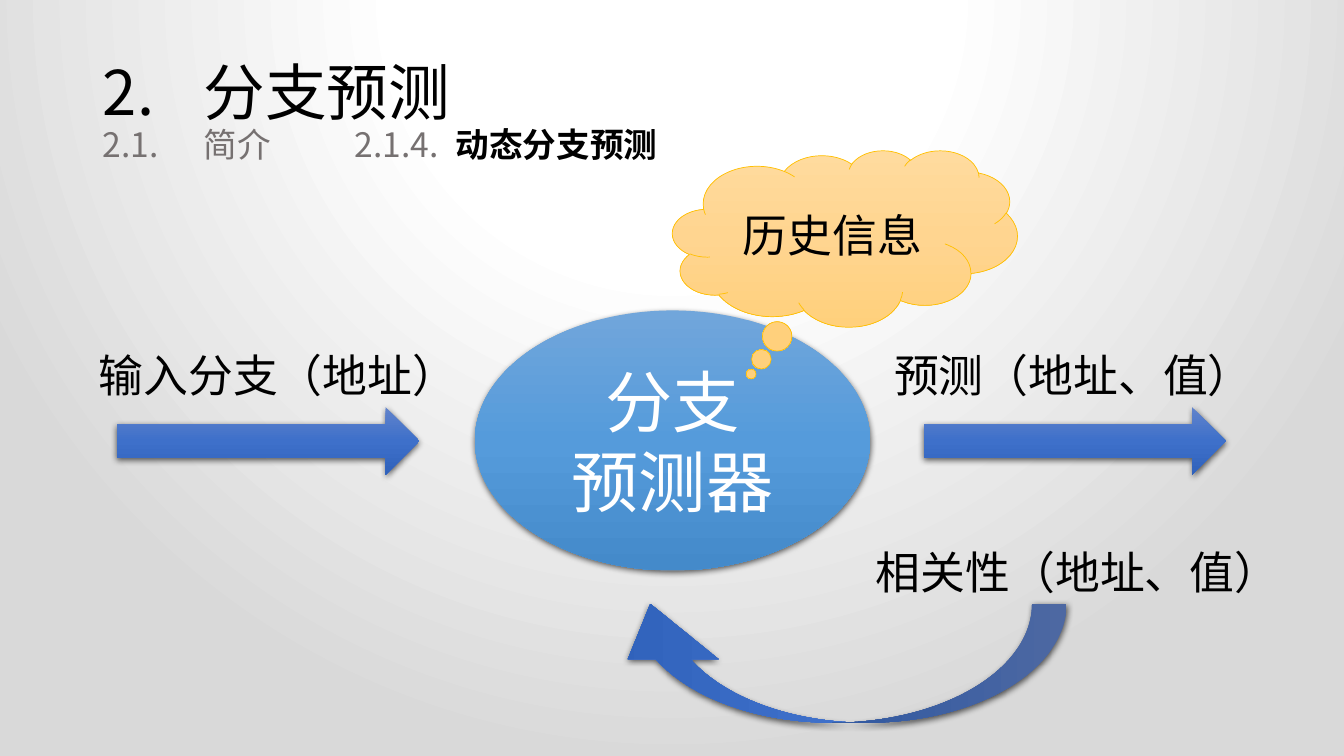
from lxml.etree import SubElement
from pptx import Presentation
from pptx.dml.color import RGBColor
from pptx.enum.shapes import MSO_SHAPE
from pptx.enum.text import MSO_ANCHOR, MSO_AUTO_SIZE, PP_ALIGN
from pptx.oxml.ns import qn
from pptx.util import Inches, Pt

FONT = "Noto Sans CJK SC"
BLACK, WHITE, GRAY = "000000", "FFFFFF", "767171"
BACKDROP = [(0, "FFFFFF"), (35, "FFFFFF"), (100, "D9D9D9")]
ARROW_BLUE = [(0, "6183CB"), (50, "3E70CA"), (100, "3062BB")]
PREDICTOR_BLUE = [(0, "71A6DB"), (50, "559BDB"), (100, "448ACA")]
CLOUD_ORANGE = [(0, "FFDB9E"), (50, "FFD590"), (100, "FFD07C")]


def color(hex_string):
    return RGBColor.from_string(hex_string)


def add_node(parent, tag, **attributes):
    return SubElement(parent, qn(tag), {key: str(value) for key, value in attributes.items()})


def place(shape, box):
    for name, length in zip(("left", "top", "width", "height"), box):
        setattr(shape, name, Inches(length))


class SlideBuilder:
    def __init__(self, presentation):
        self.slide = presentation.slides.add_slide(presentation.slide_layouts[5])

    def gradient(self, fill, owner, stops, radial=False):
        """Fill with several stops, downwards or as circles around a point above the slide."""
        fill.gradient()
        gradient = owner.find(".//" + qn("a:gradFill"))
        for child in list(gradient):
            gradient.remove(child)
        stop_list = add_node(gradient, "a:gsLst")
        for position, hex_string in stops:
            stop = add_node(stop_list, "a:gs", pos=position * 1000)
            add_node(stop, "a:srgbClr", val=hex_string)
        if radial:
            circle = add_node(gradient, "a:path", path="circle")
            add_node(circle, "a:fillToRect", l=50000, t=-80000, r=50000, b=180000)
        else:
            add_node(gradient, "a:lin", ang=5400000, scaled=0)

    def background(self, stops):
        self.gradient(self.slide.background.fill, self.slide.element, stops, radial=True)

    def drop_shadow(self, shape):
        effects = shape.element.spPr.find(qn("a:effectLst"))
        shadow = add_node(effects, "a:outerShdw", blurRad=Pt(4.5), dist=Pt(1.5),
                          dir=5400000, algn="ctr", rotWithShape=0)
        shadow_color = add_node(shadow, "a:srgbClr", val=BLACK)
        add_node(shadow_color, "a:alpha", val=63000)

    def run(self, paragraph, text, size, hex_string=BLACK, bold=False):
        for index, line in enumerate(text.split("\n")):
            if index:
                paragraph.add_line_break()
            run = paragraph.add_run()
            run.text = line
            for name, value in {"name": FONT, "size": Pt(size), "bold": bold}.items():
                setattr(run.font, name, value)
            run.font.color.rgb = color(hex_string)
            add_node(run.font._element, "a:ea", typeface=FONT)

    def title(self, box, lines):
        title = self.slide.shapes.title
        place(title, box)
        frame = title.text_frame
        frame_format = {"word_wrap": True, "auto_size": MSO_AUTO_SIZE.NONE,
                        "vertical_anchor": MSO_ANCHOR.MIDDLE}
        for name, value in frame_format.items():
            setattr(frame, name, value)
        paragraph = frame.paragraphs[0]
        paragraph.alignment = PP_ALIGN.LEFT
        paragraph.line_spacing = 0.9
        for index, line in enumerate(lines):
            if index:
                paragraph.add_line_break()
            for run in line:
                self.run(paragraph, *run)

    def label(self, box, text):
        label = self.slide.shapes.add_textbox(*map(Inches, box))
        label.text_frame.word_wrap = False
        label.text_frame.auto_size = MSO_AUTO_SIZE.SHAPE_TO_FIT_TEXT
        self.run(label.text_frame.paragraphs[0], text, 32)

    def shape(self, kind, box, stops, adjustments=(), rotation=0, outline=None):
        """Add a gradient shape; one without an outline casts a shadow."""
        shape = self.slide.shapes.add_shape(kind, *map(Inches, box))
        shape.rotation = rotation
        for index, value in enumerate(adjustments):
            shape.adjustments[index] = value
        self.gradient(shape.fill, shape.element.spPr, stops)
        shape.shadow.inherit = False
        if outline:
            shape.line.color.rgb = color(outline)
            shape.line.width = Pt(0.5)
        else:
            shape.line.fill.background()
            self.drop_shadow(shape)
        return shape

    def caption(self, shape, text, size, hex_string):
        shape.text_frame.vertical_anchor = MSO_ANCHOR.MIDDLE
        paragraph = shape.text_frame.paragraphs[0]
        paragraph.alignment = PP_ALIGN.CENTER
        self.run(paragraph, text, size, hex_string)


def main():
    presentation = Presentation()
    presentation.slide_width = Inches(13.33)
    presentation.slide_height = Inches(7.5)
    builder = SlideBuilder(presentation)
    builder.background(BACKDROP)
    builder.title((0.92, 0.4, 11.5, 1.45), [
        [("2.\t分支预测", 44)],
        [("2.1.\t简介\t\t2.1.4.\t", 24, GRAY), ("动态分支预测", 24, BLACK, True)],
    ])

    predictor = builder.shape(MSO_SHAPE.OVAL, (4.71, 3.08, 3.92, 2.58), PREDICTOR_BLUE)
    builder.caption(predictor, "分支\n预测器", 48, WHITE)

    for arrow_left, label_left, text in [(1.16, 0.88, "输入分支（地址）"),
                                         (9.16, 8.77, "预测（地址、值）")]:
        builder.shape(MSO_SHAPE.RIGHT_ARROW, (arrow_left, 4.04, 3, 0.67), ARROW_BLUE)
        builder.label((label_left, 3.4, 3.79, 0.64), text)

    builder.label((8.59, 5.35, 4.24, 0.64), "相关性（地址、值）")
    builder.shape(MSO_SHAPE.CURVED_LEFT_ARROW, (7.7, 4.29, 1.18, 4.58), ARROW_BLUE,
                  adjustments=(0.292, 0.762, 0.465), rotation=90)

    history = builder.shape(MSO_SHAPE.CLOUD_CALLOUT, (6.67, 1.49, 3.42, 1.75), CLOUD_ORANGE,
                            adjustments=(-0.272, 0.769), outline="FFC000")
    builder.caption(history, "历史信息", 32, BLACK)
    presentation.save("out.pptx")


if __name__ == "__main__":
    main()
